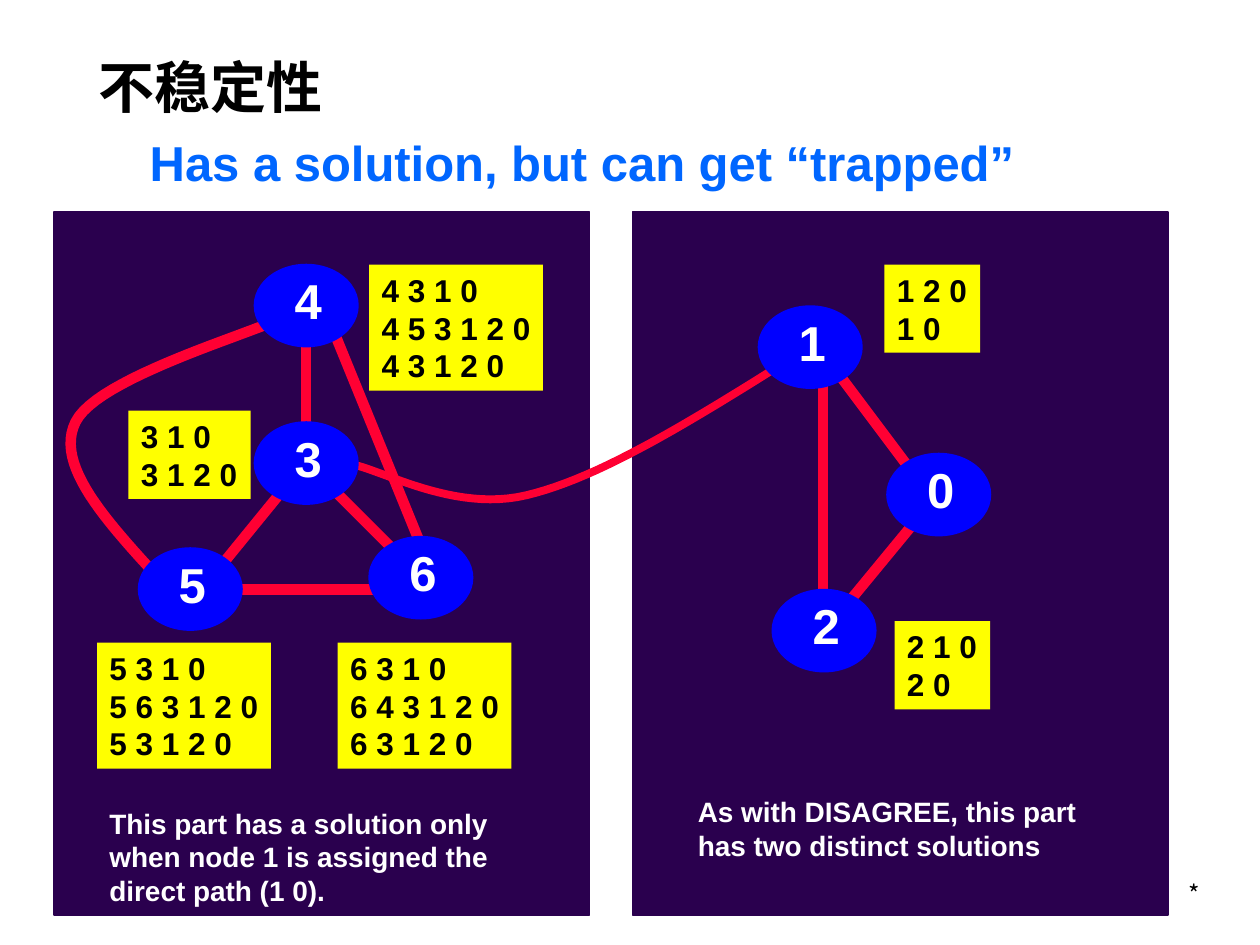
from pptx import Presentation
from pptx.dml.color import RGBColor
from pptx.enum.shapes import MSO_CONNECTOR, MSO_SHAPE
from pptx.enum.text import MSO_ANCHOR, PP_ALIGN
from pptx.oxml.ns import qn
from pptx.util import Inches, Pt

# Content: places and sizes in inches
TITLE = ("不稳定性", (0.68, 0.35, 8.5, 0.67))
SUBTITLE = ("Has a solution, but can get “trapped”", (1.09, 1, 7.06, 0.57))
FOOTER_MARK = ("*", (9.04, 6.93, 0.58, 0.33))
PANEL_LEFTS = (0.43, 5.02)
PANEL_TOP, PANEL_SIZE = 1.68, (4.25, 5.58)

# Node number: left, top of its ellipse
NODES = {
    "1": (6.02, 2.43), "0": (7.04, 3.6), "2": (6.13, 4.68), "3": (2.02, 3.35),
    "4": (2.02, 2.1), "5": (1.1, 4.35), "6": (2.93, 4.26),
}
NODE_SIZE, LABEL_SIZE, LABEL_INDENT = (0.82, 0.65), (0.42, 0.57), 0.22

STRAIGHT_EDGES = [
    ((6.53, 3.01), (6.53, 4.84)),  # 1-2
    ((6.62, 2.92), (7.37, 3.92)),  # 1-0
    ((7.37, 4.01), (6.62, 4.92)),  # 0-2
    ((2.43, 2.43), (2.43, 3.51)),  # 4-3
    ((2.6, 2.51), (3.35, 4.35)),   # 4-6
    ((2.52, 3.76), (3.27, 4.51)),  # 3-6
    ((1.6, 4.68), (3.27, 4.68)),   # 5-6
    ((2.35, 3.76), (1.6, 4.68)),   # 3-5
]
# Line width, start, then Bezier segments (control, control, end)
CURVED_EDGES = [
    (4.5, (2.68, 3.68), [  # 3-1
        ((2.6, 3.66), (2.52, 3.64), (2.77, 3.68)),
        ((3.02, 3.72), (3.6, 4.07), (4.18, 3.93)),
        ((4.77, 3.79), (5.52, 3.32), (6.27, 2.85))]),
    (6, (1.27, 4.6), [  # 5-4
        ((0.85, 4.14), (0.43, 3.69), (0.6, 3.35)),
        ((0.77, 3), (1.99, 2.65), (2.27, 2.51))]),
]
ROUTES = [
    (["1 2 0", "1 0"], (7.02, 2.1, 0.76, 0.7)),
    (["2 1 0", "2 0"], (7.1, 4.93, 0.76, 0.7)),
    (["5 3 1 0", "5 6 3 1 2 0", "5 3 1 2 0"], (0.77, 5.1, 1.38, 1)),
    (["6 3 1 0", "6 4 3 1 2 0", "6 3 1 2 0"], (2.68, 5.1, 1.38, 1)),
    (["4 3 1 0", "4 5 3 1 2 0", "4 3 1 2 0"], (2.93, 2.1, 1.38, 1)),
    (["3 1 0", "3 1 2 0"], (1.02, 3.26, 0.97, 0.7)),
]
CAPTIONS = [
    (["As with DISAGREE, this part", "has two distinct solutions"],
     (5.44, 6.26, 3.26, 0.64)),
    (["This part has a solution only", "when node 1 is assigned the",
      "direct path (1 0)."], (0.77, 6.35, 3.26, 0.9)),
]


class Theme:
    panel = RGBColor.from_string("2A004E")
    edge = RGBColor.from_string("FF0033")
    node = RGBColor.from_string("0000FF")
    route = RGBColor.from_string("FFFF00")
    black = RGBColor.from_string("000000")
    white = RGBColor.from_string("FFFFFF")
    accent = RGBColor.from_string("0066FF")
    cjk = "Noto Sans CJK SC"
    edge_width = 6
    title = dict(name="Times New Roman", size=Pt(32), bold=True)
    subtitle = dict(name="Arial", size=Pt(28), bold=True)
    label = dict(name="Arial", size=Pt(28), bold=True)
    route_text = dict(name="Arial", size=Pt(18), bold=True)
    caption = dict(name="Arial", size=Pt(16), bold=True)
    footer = dict(name=cjk, size=Pt(14), bold=False)


def write(shape, lines, style, color, wrap=False, align=PP_ALIGN.LEFT,
          anchor=MSO_ANCHOR.TOP):
    frame = shape.text_frame
    frame.word_wrap = wrap
    frame.vertical_anchor = anchor
    frame.text = "\n".join(lines)
    for paragraph in frame.paragraphs:
        paragraph.alignment = align
        for run in paragraph.runs:
            for key, value in style.items():
                setattr(run.font, key, value)
            run.font.color.rgb = color


def add_text(slide, lines, place, style, color, **layout):
    box = slide.shapes.add_textbox(*map(Inches, place))
    write(box, lines, style, color, **layout)
    return box


def add_block(slide, kind, place, color, outlined=True):
    block = slide.shapes.add_shape(kind, *map(Inches, place))
    block.shadow.inherit = False
    block.fill.solid()
    block.fill.fore_color.rgb = color
    if outlined:
        block.line.color.rgb = color
        block.line.width = Pt(1)
    else:
        block.line.fill.background()
    return block


def add_straight_edge(slide, start, end):
    edge = slide.shapes.add_connector(
        MSO_CONNECTOR.STRAIGHT, *map(Inches, start + end))
    edge.line.color.rgb = Theme.edge
    edge.line.width = Pt(Theme.edge_width)
    properties = edge._element.spPr
    properties.append(properties.makeelement(qn("a:effectLst"), {}))


def bezier_points(start, segments, steps=24):
    for first, second, end in segments:
        for step in range(1, steps + 1):
            t = step / steps
            weights = ((1 - t) ** 3, 3 * t * (1 - t) ** 2,
                       3 * t ** 2 * (1 - t), t ** 3)
            corners = (start, first, second, end)
            yield tuple(Inches(sum(w * c[axis] for w, c in zip(weights, corners)))
                        for axis in (0, 1))
        start = end


def add_curved_edge(slide, width, start, segments):
    builder = slide.shapes.build_freeform(*map(Inches, start))
    builder.add_line_segments(bezier_points(start, segments), close=False)
    edge = builder.convert_to_shape()
    edge.shadow.inherit = False
    edge.fill.background()
    edge.line.color.rgb = Theme.edge
    edge.line.width = Pt(width)


def main():
    deck = Presentation()
    deck.slide_width, deck.slide_height = Inches(10), Inches(7.5)
    slide = deck.slides.add_slide(deck.slide_layouts[6])

    # Headings and footer mark
    mark, place = FOOTER_MARK
    add_text(slide, [mark], place, Theme.footer, Theme.black,
             wrap=True, align=PP_ALIGN.RIGHT)
    heading, place = TITLE
    title = add_text(slide, [heading], place, Theme.title, Theme.black,
                     wrap=True, anchor=MSO_ANCHOR.MIDDLE)
    run_format = title.text_frame.paragraphs[0].runs[0].font._element
    run_format.append(run_format.makeelement(qn("a:ea"), {"typeface": Theme.cjk}))
    subheading, place = SUBTITLE
    add_text(slide, [subheading], place, Theme.subtitle, Theme.accent)

    # Panels
    for left in PANEL_LEFTS:
        add_block(slide, MSO_SHAPE.RECTANGLE, (left, PANEL_TOP) + PANEL_SIZE,
                  Theme.panel)

    # Edges lie under the nodes
    for curve in CURVED_EDGES:
        add_curved_edge(slide, *curve)
    for start, end in STRAIGHT_EDGES:
        add_straight_edge(slide, start, end)

    # Numbered nodes
    for number, (left, top) in NODES.items():
        add_block(slide, MSO_SHAPE.OVAL, (left, top) + NODE_SIZE, Theme.node)
        add_text(slide, [number], (left + LABEL_INDENT, top) + LABEL_SIZE,
                 Theme.label, Theme.white)

    # Route lists and captions
    for routes, place in ROUTES:
        box = add_block(slide, MSO_SHAPE.RECTANGLE, place, Theme.route, outlined=False)
        write(box, routes, Theme.route_text, Theme.black)
    for lines, place in CAPTIONS:
        add_text(slide, lines, place, Theme.caption, Theme.white)

    deck.save("out.pptx")


if __name__ == "__main__":
    main()
